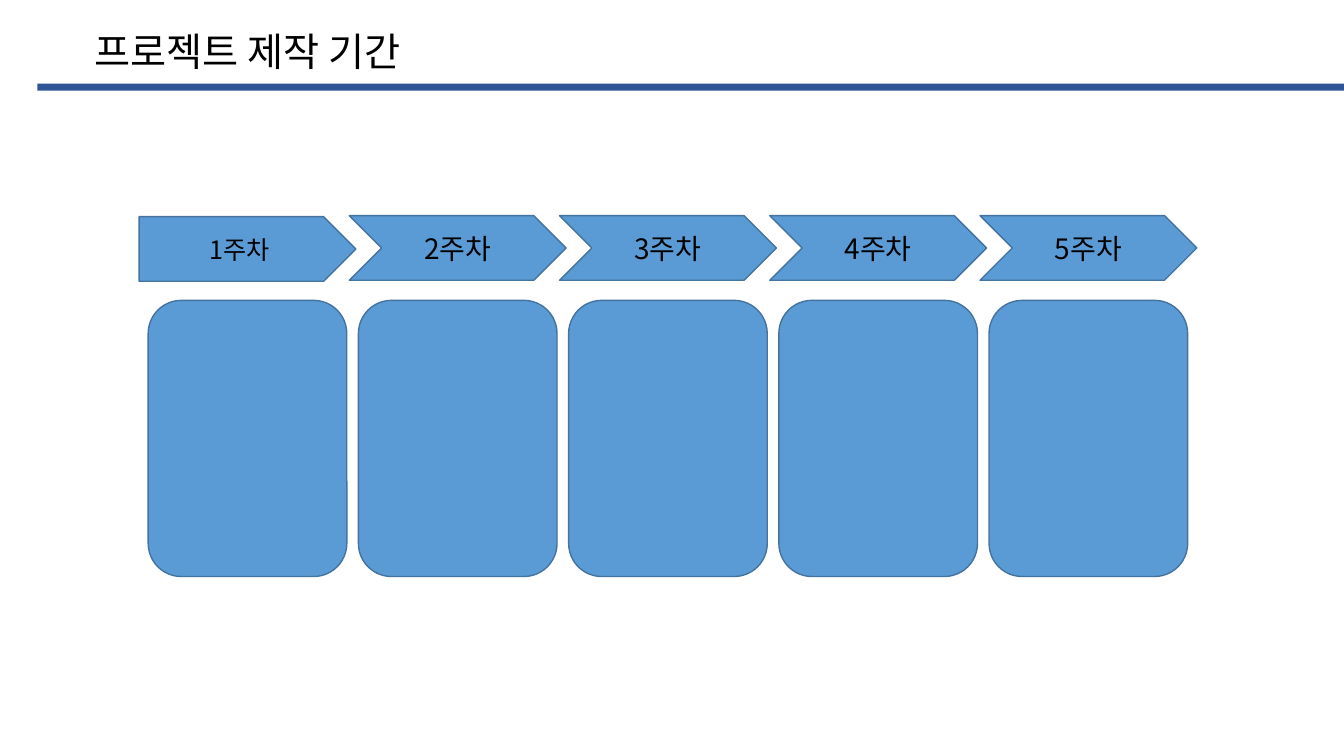
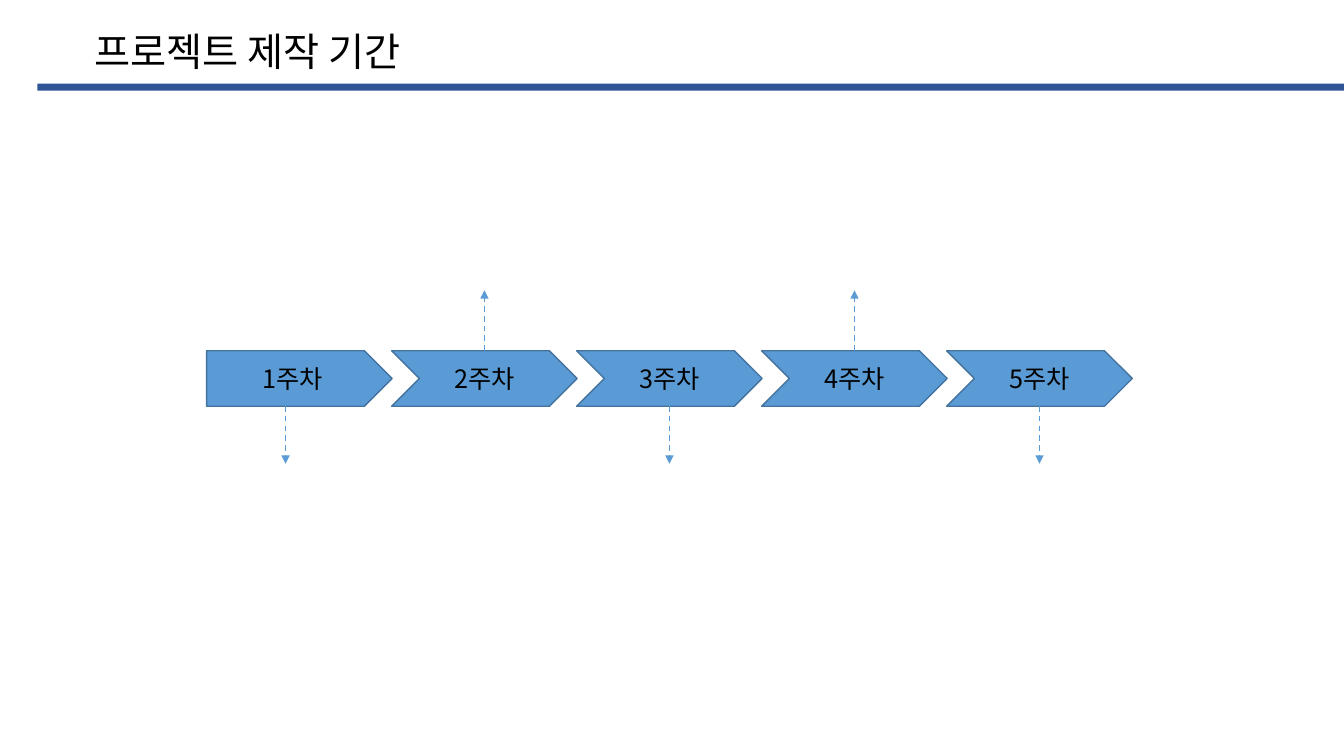
from dataclasses import dataclass

import pptx
import pptx.dml.color
import pptx.enum.dml
import pptx.enum.shapes
import pptx.enum.text
import pptx.oxml
import pptx.oxml.ns
import pptx.util
from pptx.util import Inches

FONT = "Noto Sans CJK KR"
BLACK, BLUE, OUTLINE, NAVY = "000000", "5B9BD5", "43739E", "2F5597"
TITLE = "프로젝트 제작 기간"
WEEKS = ["1주차", "2주차", "3주차", "4주차", "5주차"]
SHAPE = pptx.enum.shapes.MSO_SHAPE
ALIGN = pptx.enum.text.PP_ALIGN
ANCHOR = pptx.enum.text.MSO_ANCHOR


@dataclass
class Row:
    """Equally spaced boxes, one per week; lengths are in inches."""
    first_left: float
    last_left: float
    top: float
    width: float
    height: float

    def left(self, i: int) -> float:
        return self.first_left + i * (self.last_left - self.first_left) / (len(WEEKS) - 1)


def rgb(color: str) -> pptx.dml.color.RGBColor:
    return pptx.dml.color.RGBColor.from_string(color)


def style_paragraph(p, size: float, align) -> None:
    """Sets the font for Latin and Korean text alike."""
    p.alignment = align
    p.font.name = FONT
    p.font.size = pptx.util.Pt(size)
    p.font.color.rgb = rgb(BLACK)
    latin = p._p.pPr.find(".//" + pptx.oxml.ns.qn("a:latin"))
    ea = pptx.oxml.parse_xml(f'<a:ea {pptx.oxml.ns.nsdecls("a")} typeface="{FONT}"/>')
    latin.addnext(ea)


def add_box(slide, kind, left: float, top: float, width: float, height: float,
            fill: str = BLUE, line: str | None = OUTLINE):
    sp = slide.shapes.add_shape(kind, Inches(left), Inches(top), Inches(width), Inches(height))
    sp.shadow.inherit = False
    sp.fill.solid()
    sp.fill.fore_color.rgb = rgb(fill)
    if line:
        sp.line.color.rgb = rgb(line)
        sp.line.width = pptx.util.Pt(1)
    else:
        sp.line.fill.background()
    return sp


def add_titled_slide(prs):
    slide = prs.slides.add_slide(prs.slide_layouts[5])
    title = slide.shapes.title
    title.left, title.top = Inches(0.84), Inches(0.22)
    title.width, title.height = Inches(3.62), Inches(0.57)
    tf = title.text_frame
    tf.text = TITLE
    tf.word_wrap = False
    tf.auto_size = pptx.enum.text.MSO_AUTO_SIZE.SHAPE_TO_FIT_TEXT
    tf.vertical_anchor = ANCHOR.TOP
    style_paragraph(tf.paragraphs[0], 28, ALIGN.LEFT)
    add_box(slide, SHAPE.RECTANGLE, 0.37, 0.83, 12.96, 0.07, NAVY, None)
    return slide


def add_weeks(slide, row: Row, size: float, first_drop: float = 0) -> None:
    """Draws the week arrows; the first is a pentagon at 18 pt, lowered by first_drop."""
    for i, week in enumerate(WEEKS):
        kind = SHAPE.CHEVRON if i else SHAPE.PENTAGON
        top = row.top if i else row.top + first_drop
        sp = add_box(slide, kind, row.left(i), top, row.width, row.height)
        tf = sp.text_frame
        tf.text = week
        tf.vertical_anchor = ANCHOR.MIDDLE
        style_paragraph(tf.paragraphs[0], size if i else 18, ALIGN.CENTER)


def add_pointer(slide, x: float, start: float, end: float) -> None:
    line = slide.shapes.add_connector(pptx.enum.shapes.MSO_CONNECTOR.STRAIGHT,
                                      Inches(x), Inches(start), Inches(x), Inches(end))
    line.line.color.rgb = rgb(BLUE)
    line.line.width = pptx.util.Pt(1)
    line.line.dash_style = pptx.enum.dml.MSO_LINE.DASH
    ns = pptx.oxml.ns.nsdecls("a")
    line.line._get_or_add_ln().append(pptx.oxml.parse_xml(f'<a:tailEnd {ns} type="triangle"/>'))
    line._element.spPr.append(pptx.oxml.parse_xml(f"<a:effectLst {ns}/>"))


def build_card_slide(prs) -> None:
    slide = add_titled_slide(prs)
    add_weeks(slide, Row(1.38, 9.72, 2.14, 2.15, 0.64), 20, first_drop=0.01)
    cards = Row(1.47, 9.81, 2.98, 1.97, 2.74)
    for i in range(len(WEEKS)):
        add_box(slide, SHAPE.ROUNDED_RECTANGLE, cards.left(i), cards.top, cards.width, cards.height)


def build_pointer_slide(prs) -> None:
    slide = add_titled_slide(prs)
    row = Row(2.05, 9.39, 3.48, 1.84, 0.55)
    add_weeks(slide, row, 18)
    for i in range(len(WEEKS)):
        x = row.left(i) + row.width / 2
        if i == 0:
            x -= row.height / 4  # middle of the pentagon without its point
        if i % 2:
            add_pointer(slide, x, row.top, 2.88)
        else:
            add_pointer(slide, x, row.top + row.height, 4.6)


def main() -> None:
    prs = pptx.Presentation()
    prs.slide_width, prs.slide_height = Inches(13.33), Inches(7.5)
    build_card_slide(prs)
    build_pointer_slide(prs)
    prs.save("out.pptx")


if __name__ == "__main__":
    main()
